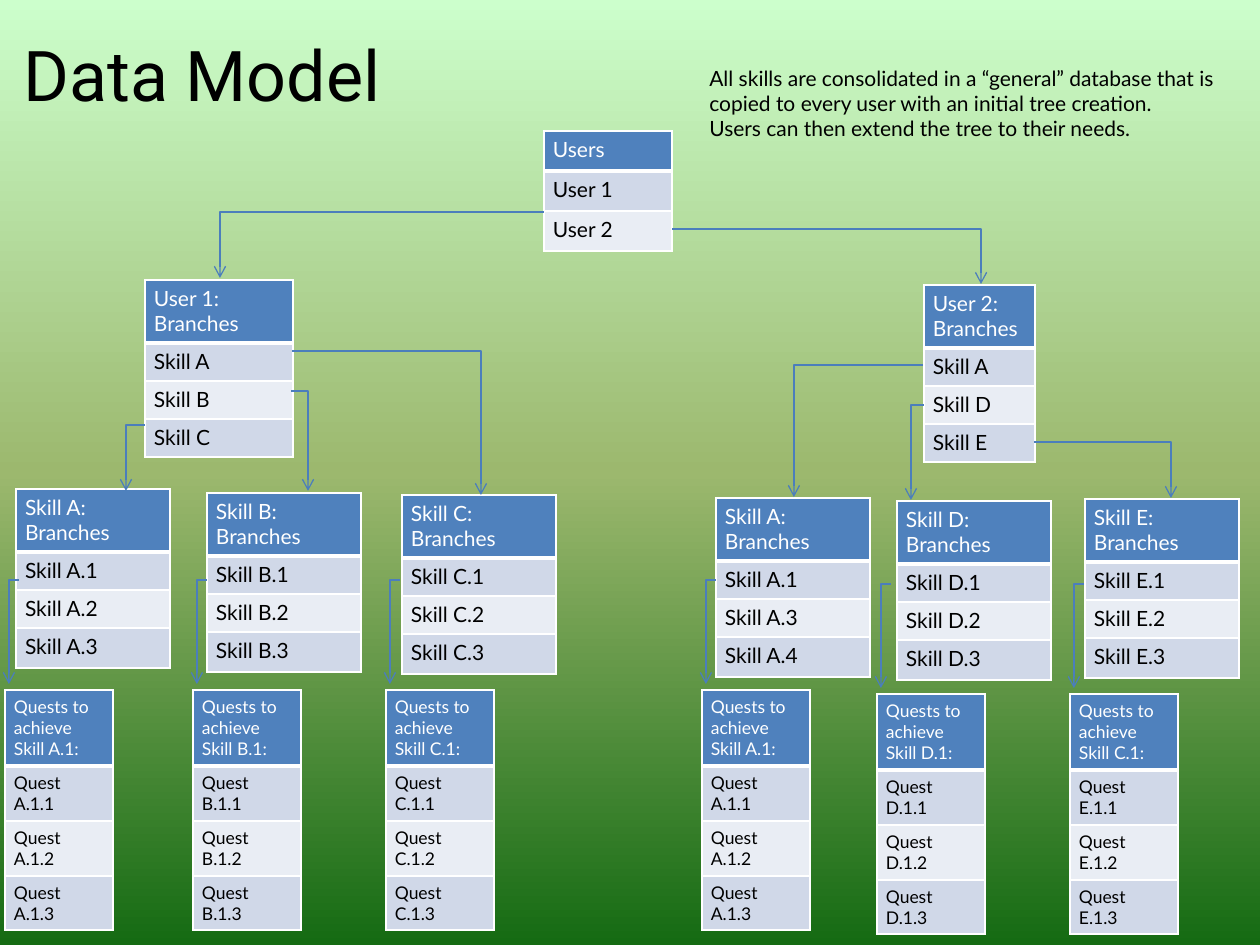
from copy import deepcopy
from dataclasses import dataclass

from lxml.etree import SubElement
from pptx import Presentation
from pptx.dml.color import RGBColor
from pptx.enum.shapes import MSO_CONNECTOR as Connector
from pptx.enum.text import MSO_ANCHOR as Anchor, MSO_AUTO_SIZE as AutoSize, PP_ALIGN as Align
from pptx.oxml.ns import qn
from pptx.util import Emu, Pt

EMU_PER_PIXEL = 914400 / 126
FONT = "Lato"
WHITE, BLACK, HEADER, LINK = "FFFFFF", "000000", "4F81BD", "4B7EBC"
BANDS = ("D0D8E8", "E9EDF4")
BACKGROUND = ((0, "CCFFCC"), (0.5, "9CB86E"), (1, "156B13"))


def px(pixels: float) -> Emu:
    return Emu(round(pixels * EMU_PER_PIXEL))


def color(hex_value: str) -> RGBColor:
    return RGBColor.from_string(hex_value)


@dataclass
class ListTable:
    left: int
    top: int
    width: int
    heights: tuple[int, ...]
    rows: list[str]
    size: int = 12


@dataclass
class SkillBranch:
    letter: str
    left: int
    top: int
    quest_left: int
    quest_top: int = 690
    numbers: tuple[int, ...] = (1, 2, 3)
    quest_header: str = ""
    quest_break: str = " "


@dataclass
class Link:
    start: tuple[int, int]
    end: tuple[int, int]


def style_font(paragraph, size: int, hex_value: str, name: str = FONT) -> None:
    paragraph.alignment = Align.LEFT
    font = paragraph.font
    font.size, font.name, font.bold = Pt(size), name, False
    font.color.rgb = color(hex_value)


def set_borders(cell, header: bool) -> None:
    properties = cell._tc.get_or_add_tcPr()
    for side in ("L", "R", "T", "B"):
        width = 3 if header and side == "B" else 1
        line = SubElement(properties, qn(f"a:ln{side}"), w=str(Pt(width)))
        fill = SubElement(line, qn("a:solidFill"))
        SubElement(fill, qn("a:srgbClr"), val=WHITE)


def draw_table(slide, item: ListTable) -> None:
    frame = slide.shapes.add_table(len(item.rows), 1, px(item.left), px(item.top),
                                   px(item.width), px(sum(item.heights)))
    table = frame.table
    for index, (text, height) in enumerate(zip(item.rows, item.heights)):
        table.rows[index].height = px(height)
        cell = table.cell(index, 0)
        header = index == 0
        cell.text = text
        cell.margin_left = cell.margin_right = px(9)
        cell.margin_top = cell.margin_bottom = px(6)
        for paragraph in cell.text_frame.paragraphs:
            style_font(paragraph, item.size, WHITE if header else BLACK)
        set_borders(cell, header)
        cell.fill.solid()
        cell.fill.fore_color.rgb = color(HEADER if header else BANDS[(index - 1) % 2])


def draw_link(slide, link: Link) -> None:
    """Run sideways first, then down to the arrowhead."""
    connector = slide.shapes.add_connector(Connector.ELBOW, *map(px, link.start + link.end))
    connector.line.color.rgb = color(LINK)
    connector.line.width = Pt(0.75)
    properties = connector._element.spPr
    adjustments = properties.find(qn("a:prstGeom")).get_or_add_avLst()
    SubElement(adjustments, qn("a:gd"), name="adj1", fmla="val 100000")
    SubElement(connector.line._get_or_add_ln(), qn("a:tailEnd"), type="arrow")
    SubElement(properties, qn("a:effectLst"))


presentation = Presentation()
presentation.slide_width, presentation.slide_height = px(1260), px(945)
slide = presentation.slides.add_slide(presentation.slide_layouts[5])

# Background gradient
background = slide.background.fill
background.gradient()
background.gradient_angle = 270
stop_list = next(slide.element.iter(qn("a:gsLst")))
stop_list.append(deepcopy(stop_list[-1]))
for stop, (position, hex_value) in zip(background.gradient_stops, BACKGROUND):
    stop.position = position
    stop.color.rgb = color(hex_value)

# Title
title = slide.shapes.title
title.left, title.top, title.width, title.height = px(11), px(18), px(1086), px(111)
title.text_frame.text = "Data Model"
title.text_frame.vertical_anchor = Anchor.MIDDLE
style_font(title.text_frame.paragraphs[0], 40, BLACK, "Roboto")

# Explanation
note = slide.shapes.add_textbox(px(697), px(59), px(556), px(89)).text_frame
note.word_wrap = True
note.auto_size = AutoSize.SHAPE_TO_FIT_TEXT
note.text = ("All skills are consolidated in a “general” database that is copied to every user "
             "with an initial tree creation.\n"
             "Users can then extend the tree to their needs.")
for paragraph in note.paragraphs:
    style_font(paragraph, 12, BLACK)

# Users and their branches
USER_HEIGHTS = (63, 38, 38, 38)
tables = [
    ListTable(544, 131, 128, (40, 40, 40), ["Users", "User 1", "User 2"]),
    ListTable(145, 280, 148, USER_HEIGHTS, ["User 1: Branches", "Skill A", "Skill B", "Skill C"]),
    ListTable(924, 285, 111, USER_HEIGHTS, ["User 2: Branches", "Skill A", "Skill D", "Skill E"]),
]
links = [
    Link((544, 212), (220, 278)), Link((672, 229), (981, 284)),
    Link((292, 351), (481, 495)), Link((291, 391), (308, 491)), Link((145, 425), (126, 491)),
    Link((923, 365), (794, 497)), Link((924, 405), (911, 500)), Link((1034, 442), (1171, 498)),
]

# Skills with their quests
branches = [
    SkillBranch("A", 16, 489, 5),
    SkillBranch("B", 207, 493, 193),
    SkillBranch("C", 402, 495, 386),
    SkillBranch("A", 716, 498, 702, numbers=(1, 3, 4)),
    SkillBranch("D", 897, 501, 877, 694),
    SkillBranch("E", 1085, 499, 1070, 694, quest_header="C", quest_break="\n"),
]
for branch in branches:
    letter, left, top = branch.letter, branch.quest_left, branch.quest_top
    skills = [f"Skill {letter}.{number}" for number in branch.numbers]
    quests = [f"Quest{branch.quest_break}{letter}.1.{number}" for number in (1, 2, 3)]
    quest_header = f"Quests to achieve Skill {branch.quest_header or letter}.1:"
    tables += [
        ListTable(branch.left, branch.top, 154, (63, 38, 38, 40),
                  [f"Skill {letter}: Branches", *skills]),
        ListTable(left, top, 108, (76, 55, 55, 54), [quest_header, *quests], 10),
    ]
    links.append(Link((left + 14, top - 110), (left + 4, top - 6)))

for item in tables:
    draw_table(slide, item)
for link in links:
    draw_link(slide, link)

presentation.save("out.pptx")
